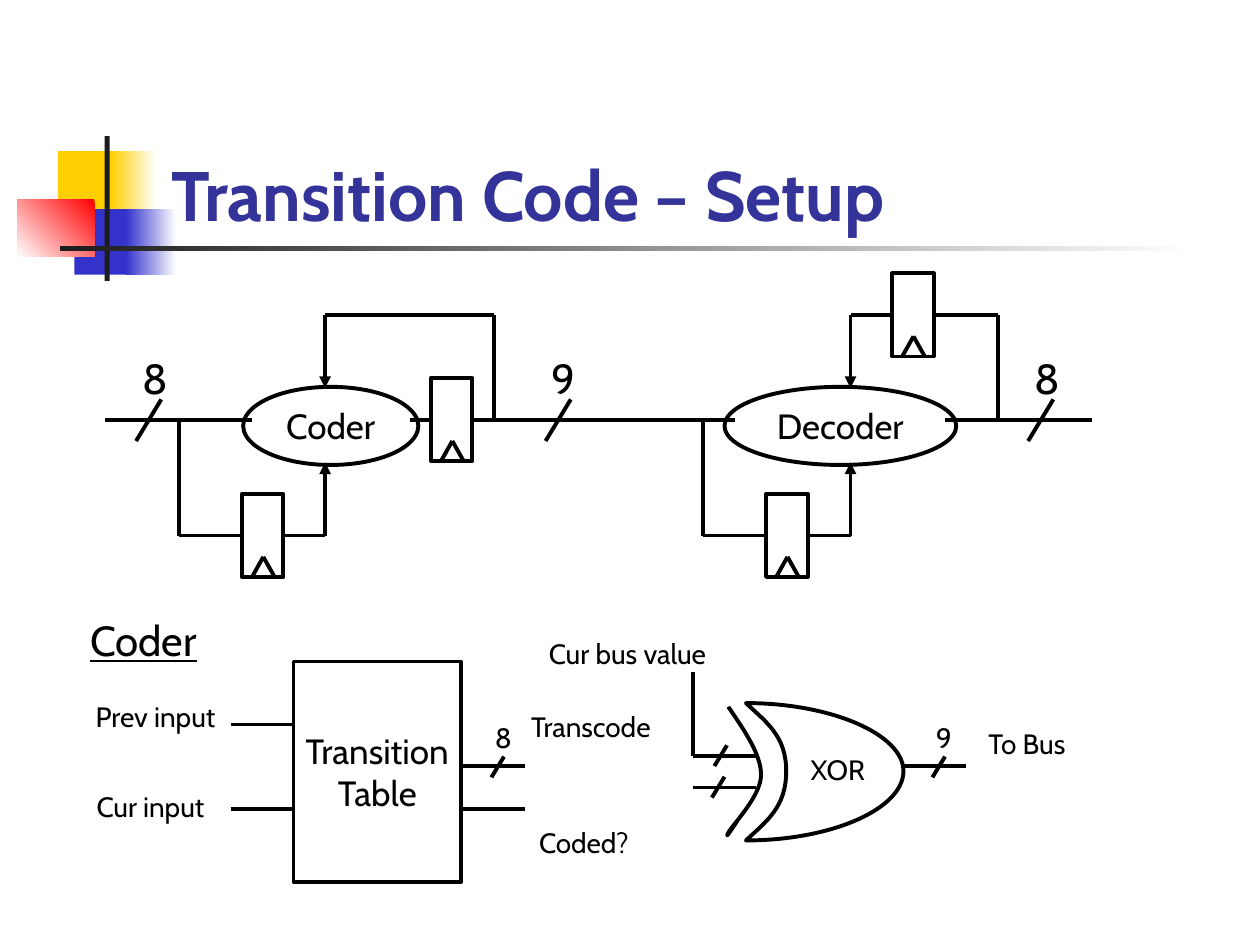
from lxml.etree import SubElement
from pptx import Presentation
from pptx.dml.color import RGBColor
from pptx.enum.shapes import MSO_CONNECTOR, MSO_SHAPE
from pptx.enum.text import MSO_ANCHOR, MSO_AUTO_SIZE, PP_ALIGN
from pptx.oxml.ns import qn
from pptx.util import Inches, Pt

COLORS = {
    "ink": "000000", "paper": "FFFFFF", "title": "333399", "yellow": "FFCF01",
    "blue": "3333CC", "red": "FF0000", "bar": "1C1C1C",
}
LEFT, RIGHT = 1, 3  # connection sites of a rectangle
REGISTER_WIDTH, REGISTER_HEIGHT = 0.33, 0.66


def rgb(name):
    return RGBColor.from_string(COLORS[name])


class Diagram:
    font_name = "Cabin"
    line_width = Pt(2.25)

    def __init__(self, slide):
        self.slide = slide
        self.shapes = slide.shapes

    def format_text(self, text_frame, size, color="ink", align=PP_ALIGN.CENTER, **flags):
        for paragraph in text_frame.paragraphs:
            paragraph.alignment = align
            for run in paragraph.runs:
                run.font.name = self.font_name
                run.font.size = Pt(size)
                run.font.color.rgb = rgb(color)
                for flag, value in flags.items():
                    setattr(run.font, flag, value)

    def title(self, text, left, top, width, height):
        title = self.shapes.title
        title.left, title.top = Inches(left), Inches(top)
        title.width, title.height = Inches(width), Inches(height)
        frame = title.text_frame
        frame.text = text
        frame.auto_size = MSO_AUTO_SIZE.NONE
        frame.vertical_anchor = MSO_ANCHOR.BOTTOM
        self.format_text(frame, 40, "title", PP_ALIGN.LEFT, bold=True)
        self.shapes._spTree.append(title._element)  # in front of the ornament

    def ornament(self, left, top, width, height, *colors, angle=180):
        """Borderless block; two colors make a gradient."""
        shape = self.shapes.add_shape(
            MSO_SHAPE.RECTANGLE, Inches(left), Inches(top), Inches(width), Inches(height))
        shape.shadow.inherit = False
        shape.line.fill.background()
        if len(colors) == 1:
            shape.fill.solid()
            shape.fill.fore_color.rgb = rgb(colors[0])
            return
        shape.fill.gradient()
        shape.fill.gradient_angle = angle
        for stop, color in zip(shape.fill.gradient_stops, colors):
            stop.color.rgb = rgb(color)

    def outline(self, shape, filled):
        shape.shadow.inherit = False
        if filled:
            shape.fill.solid()
            shape.fill.fore_color.rgb = rgb("paper")
        else:
            shape.fill.background()
        shape.line.color.rgb = rgb("ink")
        shape.line.width = self.line_width

    def block(self, preset, left, top, width, height, text="", filled=True):
        shape = self.shapes.add_shape(
            preset, Inches(left), Inches(top), Inches(width), Inches(height))
        self.outline(shape, filled)
        if text:
            frame = shape.text_frame
            frame.text = text
            frame.word_wrap = False
            frame.vertical_anchor = MSO_ANCHOR.MIDDLE
            self.format_text(frame, 20)
        return shape

    def label(self, text, left, top, width, size=16, **flags):
        height = 0.37 if size == 16 else 0.5
        box = self.shapes.add_textbox(
            Inches(left), Inches(top), Inches(width), Inches(height))
        frame = box.text_frame
        frame.text = text
        frame.word_wrap = False
        frame.auto_size = MSO_AUTO_SIZE.SHAPE_TO_FIT_TEXT
        self.format_text(frame, size, **flags)

    def wire(self, begin, end, begin_at=None, end_at=None, arrow=False):
        """Straight line; begin_at and end_at are (shape, site) pairs to join."""
        connector = self.shapes.add_connector(
            MSO_CONNECTOR.STRAIGHT, *(Inches(value) for value in (*begin, *end)))
        if begin_at:
            connector.begin_connect(*begin_at)
        if end_at:
            connector.end_connect(*end_at)
        connector.line.color.rgb = rgb("ink")
        connector.line.width = self.line_width
        properties = connector._element.spPr
        if arrow:
            SubElement(properties.find(qn("a:ln")), qn("a:tailEnd"), type="triangle")
        SubElement(properties, qn("a:effectLst"))

    def bus_mark(self, x, y, scale=1.0):
        """Slash across a wire."""
        self.wire((x, y), (x + 0.2 * scale, y - 0.33 * scale))

    def register(self, left, top):
        box = self.block(MSO_SHAPE.RECTANGLE, left, top, REGISTER_WIDTH, REGISTER_HEIGHT)
        bottom, tip = top + REGISTER_HEIGHT, (left + 0.17, top + 0.5)
        self.wire((left + 0.08, bottom), tip)
        self.wire(tip, (left + 0.26, bottom))
        return box

    def register_loop(self, left, top, from_x, to_x, wire_y, arrow_y):
        """Path from the main wire through a register to an arrow into a coder."""
        box = self.register(left, top)
        y = top + REGISTER_HEIGHT / 2
        sides = (LEFT, RIGHT) if from_x < to_x else (RIGHT, LEFT)
        edges = [left if side == LEFT else left + REGISTER_WIDTH for side in sides]
        self.wire((from_x, wire_y), (from_x, y))
        self.wire((from_x, y), (edges[0], y), end_at=(box, sides[0]))
        self.wire((edges[1], y), (to_x, y), begin_at=(box, sides[1]))
        self.wire((to_x, y), (to_x, arrow_y), arrow=True)

    def curve(self, points, closed):
        """Chain of cubic curves; each curve shares its end with the next."""
        units = [(round(x * 1000), round(y * 1000)) for x, y in points]
        builder = self.shapes.build_freeform(*units[0], scale=Inches(1) / 1000)
        builder.add_line_segments(units[1:], close=closed)
        shape = builder.convert_to_shape()
        segments = list(shape._element.iter(qn("a:lnTo")))[:len(points) - 1]
        for first, second, last in zip(*[iter(segments)] * 3):
            first.tag = qn("a:cubicBezTo")
            for segment in (second, last):
                first.append(segment[0])
                segment.getparent().remove(segment)
        self.outline(shape, filled=closed)


def draw_ornament(diagram):
    diagram.ornament(0.46, 1.2, 0.48, 0.52, "yellow")
    diagram.ornament(0.88, 1.2, 0.36, 0.52, "paper", "yellow")
    diagram.ornament(0.59, 1.66, 0.46, 0.52, "blue")
    diagram.ornament(1, 1.66, 0.4, 0.52, "paper", "blue")
    diagram.ornament(0.14, 1.58, 0.61, 0.46, "red", "paper", angle=225)
    diagram.ornament(0.83, 1.08, 0.04, 1.15, "bar")
    diagram.ornament(0.48, 1.95, 9, 0.04, "paper", "bar")


def draw_bus(diagram):
    wire_y = 3.33
    diagram.block(MSO_SHAPE.OVAL, 1.93, 3.07, 1.39, 0.62, "Coder")
    diagram.block(MSO_SHAPE.OVAL, 5.75, 3.07, 1.84, 0.62, "Decoder")
    for begin, end in ((0.83, 2), (3.25, 5.83), (7.5, 8.67)):
        diagram.wire((begin, wire_y), (end, wire_y))
    diagram.register_loop(1.92, 3.92, 1.42, 2.58, wire_y, 3.67)
    diagram.register_loop(6.08, 3.92, 5.58, 6.75, wire_y, 3.67)
    diagram.register_loop(7.08, 2.17, 7.92, 6.75, wire_y, 3.08)
    diagram.wire((3.92, wire_y), (3.92, 2.5))
    diagram.wire((3.92, 2.5), (2.83, 2.5))
    diagram.wire((2.92, 2.5), (2.58, 2.5))
    diagram.wire((2.58, 2.5), (2.58, 3.08), arrow=True)
    diagram.register(3.42, 3)
    for bits, x in (("8", 1.08), ("9", 4.33), ("8", 8.16)):
        diagram.bus_mark(x, 3.5)
        diagram.label(bits, x - 0.05, 2.75, 0.39, size=24)


def draw_coder_detail(diagram):
    diagram.label("Coder", 0.57, 4.83, 1.14, size=24, underline=True)
    diagram.block(MSO_SHAPE.RECTANGLE, 2.33, 5.25, 1.33, 1.75,
                  "Transition\nTable", filled=False)
    diagram.curve([(5.92, 6.67), (6.08, 6.52), (6.24, 6.41), (6.24, 6.12),
                   (6.24, 5.84), (6.08, 5.73), (5.92, 5.58),
                   (6.6, 5.58), (7.17, 5.83), (7.17, 6.12),
                   (7.17, 6.42), (6.6, 6.67), (5.92, 6.67)], closed=True)
    diagram.curve([(5.78, 5.61), (5.91, 5.8), (6.04, 5.99), (6.04, 6.15),
                   (6.04, 6.32), (5.81, 6.55), (5.78, 6.61),
                   (5.75, 6.67), (5.8, 6.59), (5.85, 6.52)], closed=False)
    for begin, end, y in ((1.83, 2.33, 5.75), (1.83, 2.33, 6.42), (3.67, 4.17, 6.08),
                          (3.67, 4.17, 6.42), (5.5, 6, 6), (5.5, 6, 6.25),
                          (7.17, 7.67, 6.08)):
        diagram.wire((begin, y), (end, y))
    diagram.wire((5.5, 5.33), (5.5, 6))
    for x, y in ((3.9, 6.17), (5.67, 6.08), (5.65, 6.33), (7.4, 6.17)):
        diagram.bus_mark(x, y, scale=0.5)
    for text, left, top, width in (
            ("Prev input", 0.6, 5.5, 1.27), ("Cur input", 0.61, 6.22, 1.17),
            ("Transcode", 4.05, 5.58, 1.28), ("8", 3.83, 5.67, 0.32),
            ("Coded?", 4.15, 6.5, 0.97), ("Cur bus value", 4.17, 5, 1.62),
            ("XOR", 6.33, 5.92, 0.64), ("9", 7.33, 5.67, 0.32),
            ("To Bus", 7.7, 5.72, 0.9)):
        diagram.label(text, left, top, width)


def main():
    presentation = Presentation()
    presentation.slide_width, presentation.slide_height = Inches(10), Inches(7.5)
    diagram = Diagram(presentation.slides.add_slide(presentation.slide_layouts[5]))
    draw_ornament(diagram)
    diagram.title("Transition Code – Setup", 1.26, 0.67, 8.52, 1.25)
    draw_bus(diagram)
    draw_coder_detail(diagram)
    presentation.save("out.pptx")


if __name__ == "__main__":
    main()
